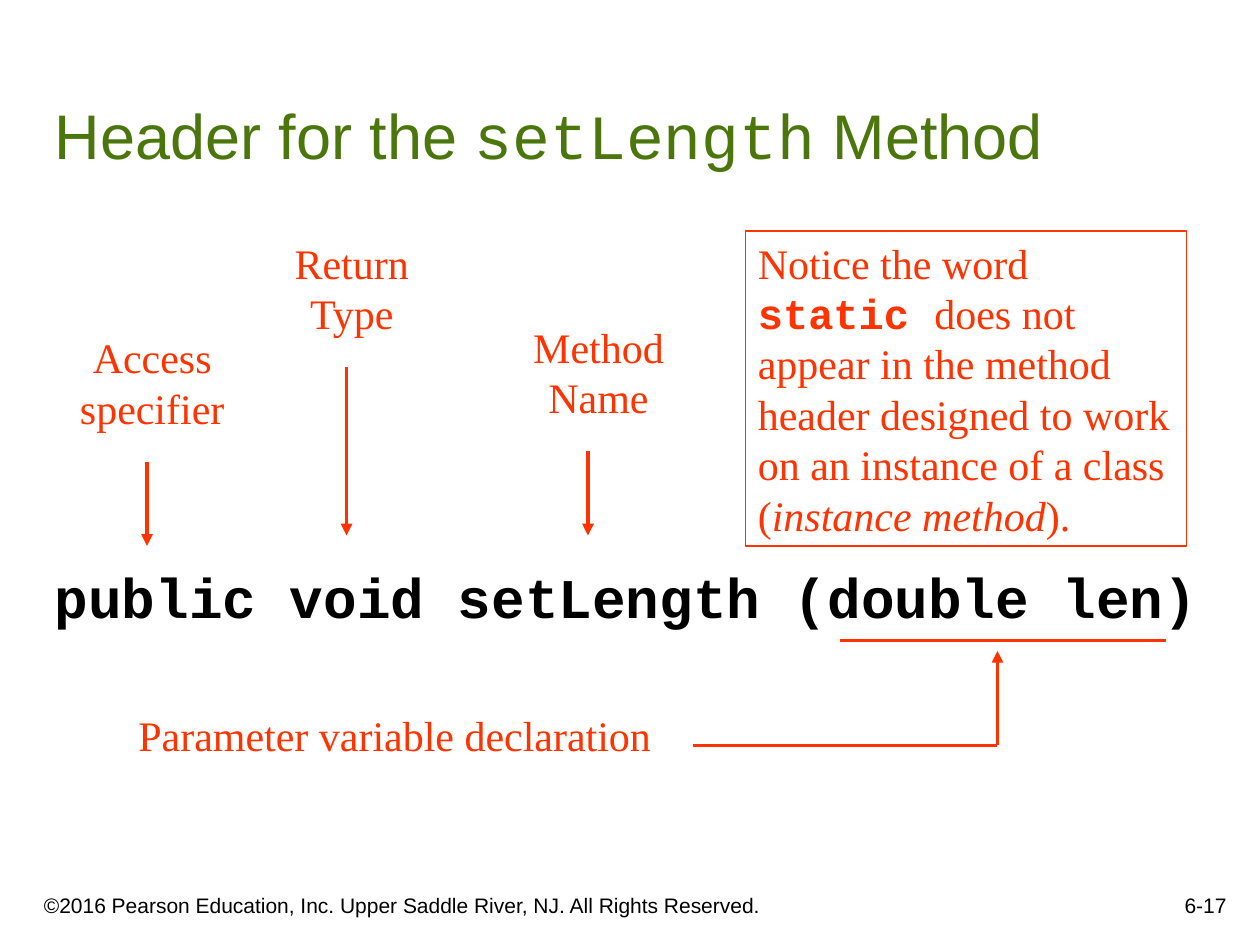
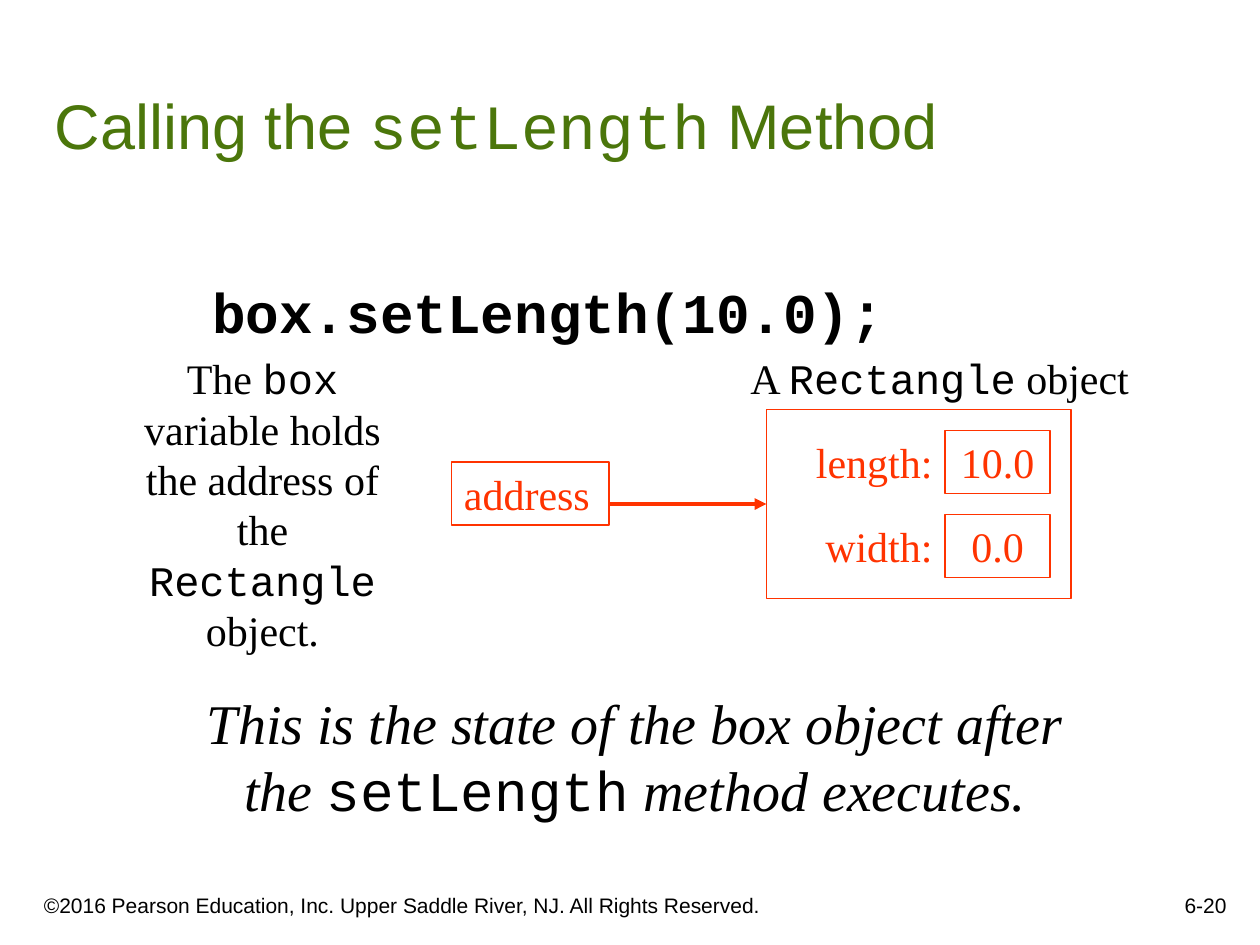
"""Build two slides about the setLength method of a Rectangle class."""
import pptx
import pptx.util
import pptx.dml.color
import pptx.enum.shapes
import pptx.enum.text
import pptx.oxml.ns
import lxml.etree

COLOURS = {"title": "4B760B", "ink": "000000", "accent": "FF3300"}
STYLES = {
    "sans": ("Arial", False, False),
    "serif": ("Times New Roman", False, False),
    "italic": ("Times New Roman", False, True),
    "code": ("Courier New", False, False),
    "strong": ("Courier New", True, False),
}
COPYRIGHT = "©2016 Pearson Education, Inc. Upper Saddle River, NJ. All Rights Reserved."
COLUMNS = 120
ALIGN = pptx.enum.text.PP_ALIGN
ANCHOR = pptx.enum.text.MSO_ANCHOR
RECTANGLE = pptx.enum.shapes.MSO_SHAPE.RECTANGLE

deck = pptx.Presentation()
deck.slide_width = pptx.util.Inches(10)
deck.slide_height = pptx.util.Inches(7.5)
cell = deck.slide_width / COLUMNS


def write(box, area, spans, size, colour, align=ALIGN.LEFT, anchor=ANCHOR.TOP):
    """Place a box on the grid and fill it with styled runs."""
    box.left, box.top, box.width, box.height = [round(n * cell) for n in area]
    frame = box.text_frame
    frame.word_wrap = True
    frame.auto_size = pptx.enum.text.MSO_AUTO_SIZE.NONE
    frame.vertical_anchor = anchor
    para = frame.paragraphs[0]
    para.alignment = align
    para.space_before = pptx.util.Pt(0)
    for text, style in spans:
        span = para.add_run()
        span.text = text
        span.font.name, span.font.bold, span.font.italic = STYLES[style]
        span.font.size = pptx.util.Pt(size)
        span.font.color.rgb = pptx.dml.color.RGBColor.from_string(COLOURS[colour])


def draw_line(page, ends, pointed):
    """Draw an accent line between two grid points."""
    line = page.shapes.add_connector(
        pptx.enum.shapes.MSO_CONNECTOR.STRAIGHT, *[round(n * cell) for n in ends])
    line.line.color.rgb = pptx.dml.color.RGBColor.from_string(COLOURS["accent"])
    line.line.width = pptx.util.Pt(2.25)
    if pointed:
        head = lxml.etree.SubElement(line.line._get_or_add_ln(), pptx.oxml.ns.qn("a:tailEnd"))
        head.set("type", "triangle")
    lxml.etree.SubElement(line._element.spPr, pptx.oxml.ns.qn("a:effectLst"))


slides = [
    {
        "number": "6-17",
        "title": "Header for the ",
        "title_row": 2,
        "code": "public void setLength (double len)",
        "code_area": (4, 53, 112, 10),
        "frames": [
            ((71, 22, 42, 30), ALIGN.LEFT, [
                ("Notice the word ", "serif"), ("static ", "strong"),
                ("does not appear in the method header designed to work "
                 "on an instance of a class (", "serif"),
                ("instance method", "italic"), (").", "serif")]),
        ],
        "labels": [
            ((2, 31, 25, 11), ALIGN.CENTER, 24, "accent", [("Access specifier", "serif")]),
            ((24, 22, 19, 11), ALIGN.CENTER, 24, "accent", [("Return Type", "serif")]),
            ((49, 30, 16, 11), ALIGN.CENTER, 24, "accent", [("Method Name", "serif")]),
            ((12, 67, 53, 6), ALIGN.LEFT, 24, "accent",
             [("Parameter variable declaration", "serif")]),
        ],
        "arrows": [(14, 44, 14, 52), (33, 35, 33, 51), (56, 43, 56, 51), (95, 71, 95, 62)],
        "rules": [(80, 61, 111, 61), (66, 71, 95, 71)],
    },
    {
        "number": "6-20",
        "title": "Calling the ",
        "title_row": 1,
        "code": "box.setLength(10.0);",
        "code_area": (19, 25.8, 74, 9),
        "frames": [
            ((73, 39, 29, 18), ALIGN.LEFT, []),
            ((43, 44, 15, 6), ALIGN.LEFT, [("address", "serif")]),
            ((90, 41, 10, 6), ALIGN.CENTER, [("10.0", "serif")]),
            ((90, 49, 10, 6), ALIGN.CENTER, [("0.0", "serif")]),
        ],
        "labels": [
            ((75, 41, 15, 6), ALIGN.RIGHT, 24, "accent", [("length:", "serif")]),
            ((75, 49, 15, 6), ALIGN.RIGHT, 24, "accent", [("width:", "serif")]),
            ((11, 33, 28, 30), ALIGN.CENTER, 24, "ink", [
                ("The ", "serif"), ("box ", "code"),
                ("variable holds the address of the ", "serif"),
                ("Rectangle", "code"), (" object.", "serif")]),
            ((66, 33, 47, 6), ALIGN.CENTER, 24, "ink", [
                ("A ", "serif"), ("Rectangle", "code"), (" object", "serif")]),
            ((18, 65, 85, 14), ALIGN.CENTER, 32, "ink", [
                ("This is the state of the box object after the ", "italic"),
                ("setLength", "code"), (" method executes.", "italic")]),
        ],
        "arrows": [(58, 48, 73, 48)],
        "rules": [],
    },
]

for content in slides:
    page = deck.slides.add_slide(deck.slide_layouts[1])
    write(page.shapes.title, (4, content["title_row"], 102, 15),
          [(content["title"], "sans"), ("setLength", "code"), (" Method", "sans")],
          36, "title", anchor=ANCHOR.BOTTOM)

    body = page.placeholders[1]
    properties = body.text_frame.paragraphs[0]._p.get_or_add_pPr()
    properties.set("marL", "0")
    properties.set("indent", "0")
    lxml.etree.SubElement(properties, pptx.oxml.ns.qn("a:buNone"))
    body.text_frame.margin_right = 0
    write(body, content["code_area"], [(content["code"], "strong")], 32, "ink")

    for area, align, spans in content["frames"]:
        frame_box = page.shapes.add_shape(RECTANGLE, 0, 0, 0, 0)
        frame_box.shadow.inherit = False
        frame_box.fill.background()
        frame_box.line.color.rgb = pptx.dml.color.RGBColor.from_string(COLOURS["accent"])
        frame_box.line.width = pptx.util.Pt(0.75)
        write(frame_box, area, spans, 24, "accent", align)

    for area, align, size, colour, spans in content["labels"]:
        write(page.shapes.add_textbox(0, 0, 0, 0), area, spans, size, colour, align)

    for pointed, group in ((True, "arrows"), (False, "rules")):
        for ends in content[group]:
            draw_line(page, ends, pointed)

    for text, area, align in ((COPYRIGHT, (3, 83, 73, 5), ALIGN.LEFT),
                              (content["number"], (93, 82, 25, 6), ALIGN.RIGHT)):
        write(page.shapes.add_textbox(0, 0, 0, 0), area, [(text, "sans")],
              12, "ink", align, ANCHOR.BOTTOM)

deck.save("out.pptx")
